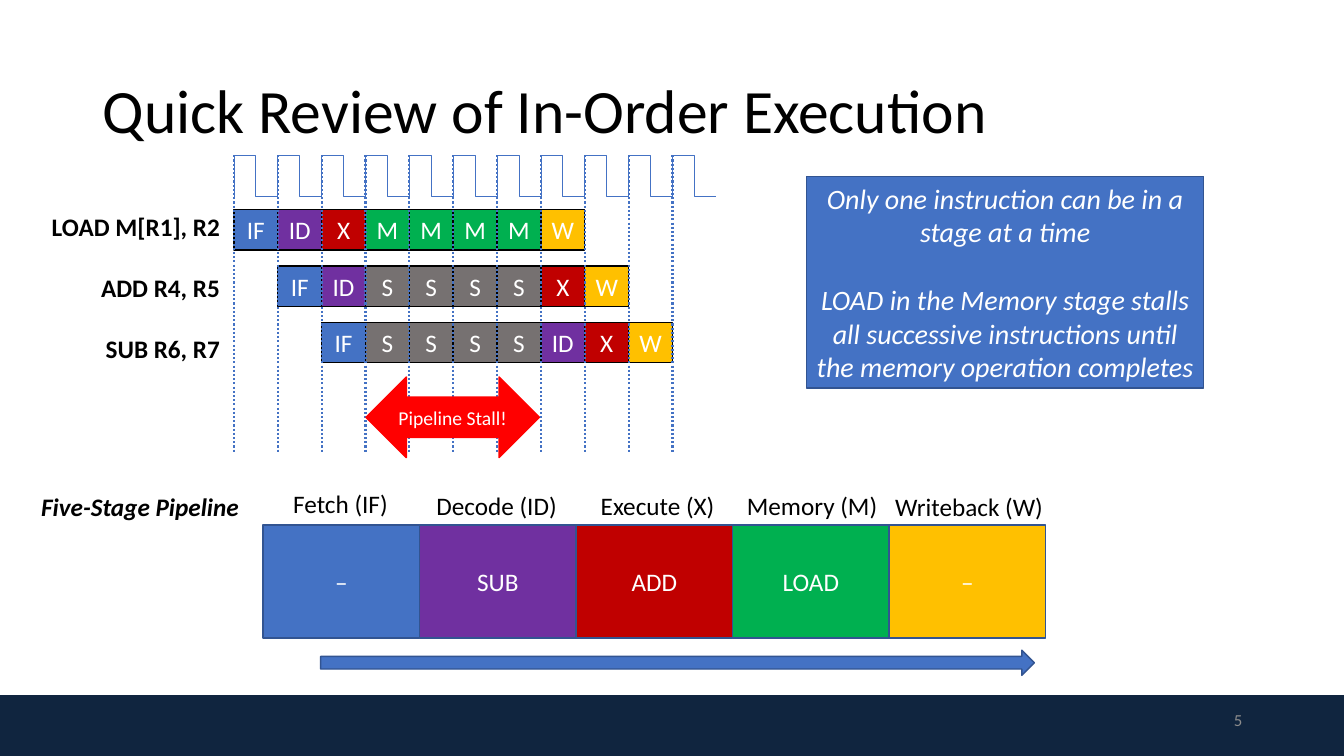
from dataclasses import dataclass

from lxml.etree import SubElement
from pptx import Presentation
from pptx.dml.color import RGBColor
from pptx.enum.dml import MSO_LINE
from pptx.enum.shapes import MSO_CONNECTOR, MSO_SHAPE
from pptx.enum.text import MSO_ANCHOR, MSO_AUTO_SIZE, PP_ALIGN
from pptx.oxml.ns import qn
from pptx.shapes.autoshape import Shape
from pptx.slide import Slide
from pptx.text.text import TextFrame
from pptx.util import Inches, Pt

FONT = "Calibri"
COLORS = {
    "black": "000000",
    "white": "FFFFFF",
    "navy": "10253F",
    "blue": "4472C4",
    "outline": "325491",
    "purple": "7030A0",
    "dark red": "C00000",
    "green": "00B050",
    "gold": "FFC000",
    "gray": "767171",
    "red": "FF0000",
    "pale gray": "8C8C8C",
}
STAGE_COLORS = {
    "IF": "blue",
    "ID": "purple",
    "X": "dark red",
    "M": "green",
    "W": "gold",
    "S": "gray",
}

CYCLE_LEFT, CYCLE_WIDTH, CYCLE_COUNT = 2.32, 0.435, 11
CLOCK_TOP, CLOCK_BOTTOM, GUIDE_BOTTOM = 1.54, 1.95, 4.48
ROW_TOP, ROW_STEP, ROW_HEIGHT = 2.08, 0.56, 0.4
BLOCK_LEFT, BLOCK_TOP, BLOCK_WIDTH, BLOCK_HEIGHT = 2.61, 5.21, 1.552, 1.12


@dataclass
class Area:
    left: float
    top: float
    width: float
    height: float


@dataclass
class TextStyle:
    size: float = 18
    color: str = "white"
    bold: bool = False
    italic: bool = False
    align: PP_ALIGN = PP_ALIGN.CENTER
    gap: float = 0


@dataclass
class Instruction:
    label: str
    stages: list[str]


@dataclass
class PipelineStage:
    code: str
    content: str
    caption: str
    caption_area: Area


INSTRUCTIONS = [
    Instruction("LOAD M[R1], R2", ["IF", "ID", "X", "M", "M", "M", "M", "W"]),
    Instruction("ADD R4, R5", ["IF", "ID", "S", "S", "S", "S", "X", "W"]),
    Instruction("SUB R6, R7", ["IF", "S", "S", "S", "S", "ID", "X", "W"]),
]
PIPELINE = [
    PipelineStage("IF", "–", "Fetch (IF)", Area(2.81, 4.8, 1.15, 0.4)),
    PipelineStage("ID", "SUB", "Decode (ID)", Area(4.23, 4.82, 1.41, 0.4)),
    PipelineStage("X", "ADD", "Execute (X)", Area(5.86, 4.82, 1.34, 0.4)),
    PipelineStage("M", "LOAD", "Memory (M)", Area(7.31, 4.82, 1.51, 0.4)),
    PipelineStage("W", "–", "Writeback (W)", Area(8.78, 4.83, 1.68, 0.4)),
]
CALLOUT = [
    "Only one instruction can be in a stage at a time",
    "LOAD in the Memory stage stalls all successive instructions "
    "until the memory operation completes",
]


def color(name: str) -> RGBColor:
    return RGBColor.from_string(COLORS[name])


def lengths(area: Area) -> list[Inches]:
    return [Inches(value) for value in (area.left, area.top, area.width, area.height)]


def write(frame: TextFrame, lines: list[str], style: TextStyle) -> None:
    for index, line in enumerate(lines):
        para = frame.paragraphs[0] if index == 0 else frame.add_paragraph()
        para.text = line
        para.alignment = style.align
        if index and style.gap:
            para.space_before = Pt(style.gap)
        font = para.font
        font.name, font.size = FONT, Pt(style.size)
        font.bold, font.italic = style.bold, style.italic
        font.color.rgb = color(style.color)


def add_label(page: Slide, area: Area, lines: list[str], style: TextStyle) -> None:
    box = page.shapes.add_textbox(*lengths(area))
    box.text_frame.word_wrap = False
    box.text_frame.auto_size = MSO_AUTO_SIZE.SHAPE_TO_FIT_TEXT
    write(box.text_frame, lines, style)


def add_block(page: Slide, kind: MSO_SHAPE, area: Area, fill: str, outline: str) -> Shape:
    block = page.shapes.add_shape(kind, *lengths(area))
    block.shadow.inherit = False
    block.fill.solid()
    block.fill.fore_color.rgb = color(fill)
    block.line.color.rgb = color(outline)
    block.line.width = Pt(1)
    return block


def add_text_block(page: Slide, kind: MSO_SHAPE, area: Area, fill: str, outline: str,
                   lines: list[str], style: TextStyle, inset: float = 0) -> None:
    frame = add_block(page, kind, area, fill, outline).text_frame
    frame.word_wrap = True
    frame.vertical_anchor = MSO_ANCHOR.MIDDLE
    frame.margin_left = frame.margin_right = Inches(inset)
    write(frame, lines, style)


def add_line(page: Slide, kind: MSO_CONNECTOR, start: tuple[float, float],
             end: tuple[float, float], width: float, dotted: bool = False) -> None:
    points = [Inches(value) for value in (*start, *end)]
    line = page.shapes.add_connector(kind, *points)
    line.line.color.rgb = color("blue")
    line.line.width = Pt(width)
    if dotted:
        line.line.dash_style = MSO_LINE.ROUND_DOT
    SubElement(line._element.spPr, qn("a:effectLst"))


def add_title(page: Slide) -> None:
    title = page.shapes.title
    title.left, title.top, title.width, title.height = lengths(Area(0.92, 0.4, 11.5, 1.45))
    frame = title.text_frame
    frame.auto_size = MSO_AUTO_SIZE.NONE
    frame.vertical_anchor = MSO_ANCHOR.MIDDLE
    write(frame, ["Quick Review of In-Order Execution"],
          TextStyle(44, "black", align=PP_ALIGN.LEFT))
    frame.paragraphs[0].line_spacing = 0.9


def add_timing_diagram(page: Slide) -> None:
    add_label(page, Area(0.39, 2.05, 1.89, 1.62), [item.label for item in INSTRUCTIONS],
              TextStyle(color="black", bold=True, align=PP_ALIGN.RIGHT, gap=22))
    edges = [CYCLE_LEFT + CYCLE_WIDTH * cycle for cycle in range(CYCLE_COUNT)]
    for edge in edges:
        add_line(page, MSO_CONNECTOR.ELBOW, (edge, CLOCK_TOP),
                 (edge + CYCLE_WIDTH, CLOCK_BOTTOM), 0.5)
        add_line(page, MSO_CONNECTOR.STRAIGHT, (edge, CLOCK_TOP), (edge, CLOCK_BOTTOM), 0.5)
    for row, item in enumerate(INSTRUCTIONS):
        for edge, code in zip(edges[row:], item.stages):
            cell = Area(edge, ROW_TOP + ROW_STEP * row, CYCLE_WIDTH, ROW_HEIGHT)
            add_text_block(page, MSO_SHAPE.RECTANGLE, cell, STAGE_COLORS[code], "black",
                           [code], TextStyle())
    for edge in edges:
        add_line(page, MSO_CONNECTOR.STRAIGHT, (edge, CLOCK_TOP), (edge, GUIDE_BOTTOM),
                 1.5, dotted=True)
    add_text_block(page, MSO_SHAPE.LEFT_RIGHT_ARROW, Area(3.63, 3.74, 1.72, 0.8),
                   "red", "red", ["Pipeline Stall!"], TextStyle(14))


def add_pipeline(page: Slide) -> None:
    add_label(page, Area(0.31, 4.83, 2.19, 0.4), ["Five-Stage Pipeline"],
              TextStyle(color="black", bold=True, italic=True, align=PP_ALIGN.LEFT))
    for index, stage in enumerate(PIPELINE):
        add_label(page, stage.caption_area, [stage.caption],
                  TextStyle(color="black", align=PP_ALIGN.LEFT))
        block = Area(BLOCK_LEFT + BLOCK_WIDTH * index, BLOCK_TOP, BLOCK_WIDTH, BLOCK_HEIGHT)
        add_text_block(page, MSO_SHAPE.RECTANGLE, block, STAGE_COLORS[stage.code], "outline",
                       [stage.content], TextStyle())
    add_block(page, MSO_SHAPE.RIGHT_ARROW, Area(3.18, 6.45, 7.08, 0.25), "blue", "outline")


def main() -> None:
    deck = Presentation()
    deck.slide_width, deck.slide_height = Inches(13.33), Inches(7.5)
    page = deck.slides.add_slide(deck.slide_layouts[5])
    add_block(page, MSO_SHAPE.RECTANGLE, Area(0, 6.9, 13.33, 0.6), "navy", "navy")
    add_title(page)
    add_timing_diagram(page)
    add_text_block(page, MSO_SHAPE.RECTANGLE, Area(8, 1.75, 3.94, 2.1), "blue", "outline",
                   CALLOUT, TextStyle(20, italic=True, gap=24.4), inset=0.1)
    add_pipeline(page)
    add_label(page, Area(9.42, 6.99, 3, 0.3), ["5"],
              TextStyle(12, "pale gray", align=PP_ALIGN.RIGHT))
    deck.save("out.pptx")


if __name__ == "__main__":
    main()
